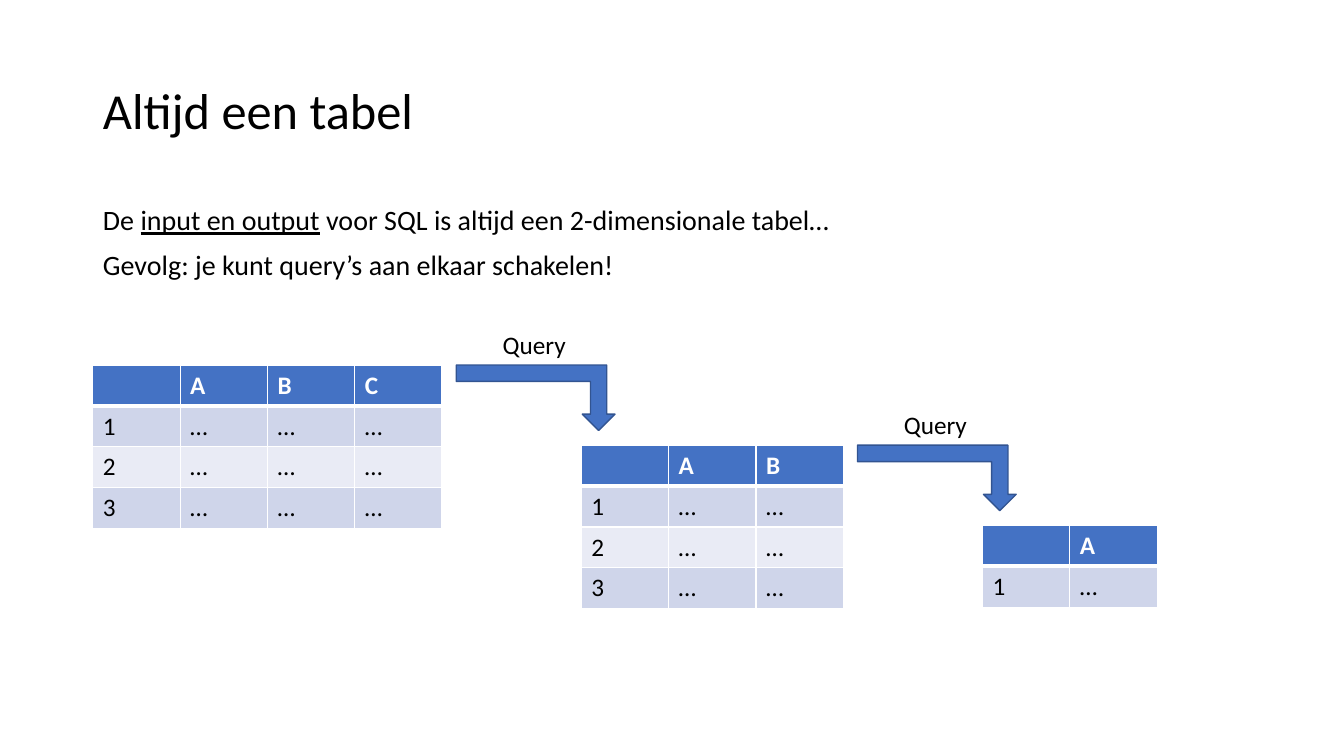
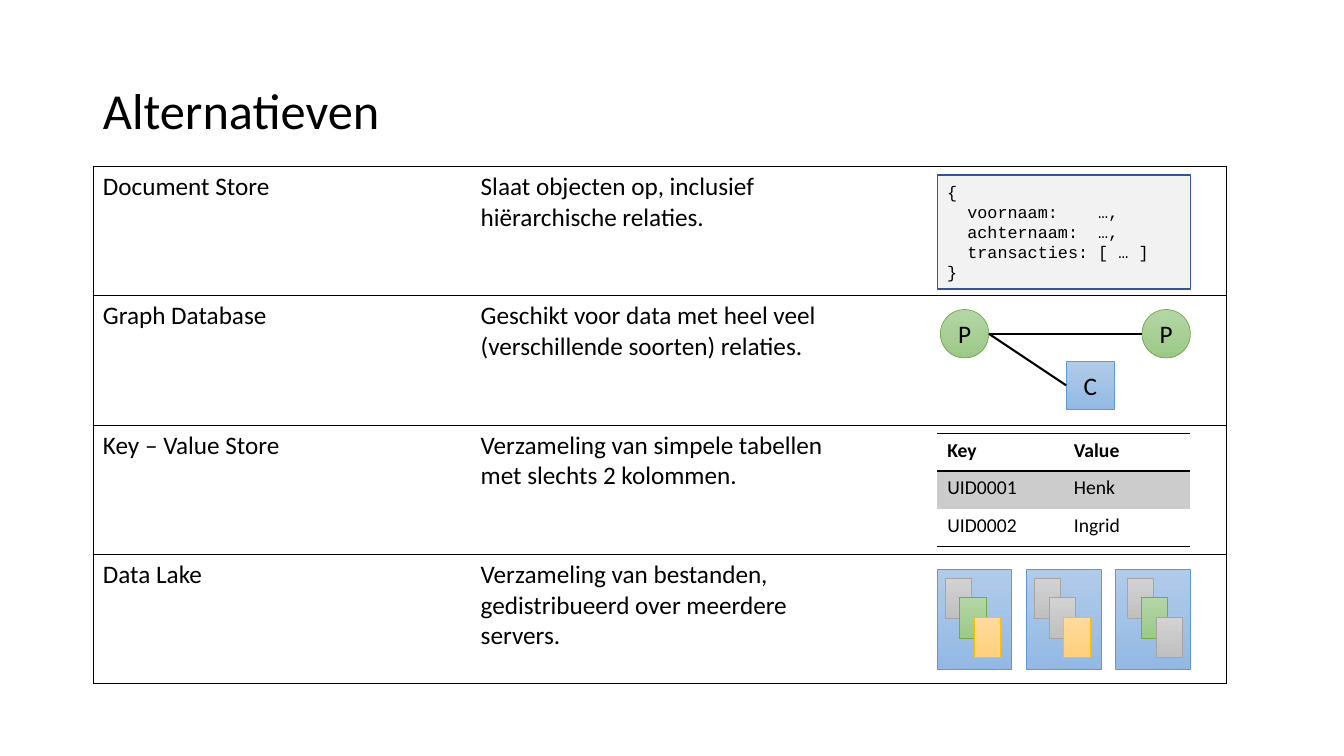
import lxml.etree
import pptx
import pptx.dml.color
import pptx.enum.shapes
import pptx.enum.text
import pptx.oxml.ns
import pptx.util

Cm = pptx.util.Cm
Pt = pptx.util.Pt
qn = pptx.oxml.ns.qn
rgb = pptx.dml.color.RGBColor.from_string
SHAPE = pptx.enum.shapes.MSO_SHAPE
ALIGN = pptx.enum.text.PP_ALIGN
MIDDLE = pptx.enum.text.MSO_ANCHOR.MIDDLE

BLACK, WHITE = "000000", "FFFFFF"
BLUE, DARK_BLUE = "4472C4", "325491"
BAND_DARK, BAND_LIGHT = "CFD5EA", "E9EBF5"
# Gradient top, gradient bottom, outline
GREEN = ("B5D5A7", "9CC987", "70AD47")
SKY = ("B1CBE9", "93B9E4", "5B9BD5")
GREY = ("D2D2D2", "C0C0C0", "A5A5A5")
YELLOW = ("FFDB9E", "FFD07C", "FFC000")
NO_STYLE = "{2D5ABB26-0587-4C30-8999-92F81FD0307C}"
LEFT = 2.34


def write(tf, text, size=18, color=BLACK, font="Calibri", bold=False,
          underline="", align=ALIGN.LEFT, spacing=None, gap=0):
    """Fill a text frame, one paragraph per line; gap is the space between them."""
    for i, line in enumerate(text.split("\n")):
        p = tf.add_paragraph() if i else tf.paragraphs[0]
        p.alignment = align
        p.line_spacing = spacing
        p.space_before = Pt(gap if i else 0)
        for part in line.partition(underline) if underline else (line,):
            if part:
                r = p.add_run()
                r.text = part
                r.font.name = font
                r.font.size = Pt(size)
                r.font.bold = bold
                r.font.underline = part == underline
                r.font.color.rgb = rgb(color)


def add_grid(slide, rows, x, y, col_w, row_h, h_lines, v_lines, line_color,
             fills, size=18, header_color=None):
    """Add a table; h_lines and v_lines hold a width per boundary, 0 for none."""
    n_rows, n_cols = len(rows), len(rows[0])
    frame = slide.shapes.add_table(n_rows, n_cols, Cm(x), Cm(y),
                                   Cm(col_w * n_cols), Cm(row_h * n_rows))
    table = frame.table
    table.first_row = header_color is not None
    table.horz_banding = False
    table._tbl.tblPr.find(qn("a:tableStyleId")).text = NO_STYLE
    for col in table.columns:
        col.width = Cm(col_w)
    for i, row in enumerate(rows):
        table.rows[i].height = Cm(row_h)
        for j, text in enumerate(row):
            cell = table.cell(i, j)
            is_header = i == 0 and header_color is not None
            write(cell.text_frame, text, size=size, bold=is_header,
                  color=header_color if is_header else BLACK)
            tcPr = cell._tc.get_or_add_tcPr()
            widths = {"L": v_lines[j], "R": v_lines[j + 1],
                      "T": h_lines[i], "B": h_lines[i + 1]}
            for side, width in widths.items():
                ln = lxml.etree.SubElement(tcPr, qn(f"a:ln{side}"), w=str(Pt(width)))
                if width:
                    fill = lxml.etree.SubElement(ln, qn("a:solidFill"))
                    lxml.etree.SubElement(fill, qn("a:srgbClr"), val=line_color)
                else:
                    lxml.etree.SubElement(ln, qn("a:noFill"))
            if fills[i]:
                cell.fill.solid()
                cell.fill.fore_color.rgb = rgb(fills[i])
            else:
                cell.fill.background()


prs = pptx.Presentation()
prs.slide_width, prs.slide_height = Cm(33.87), Cm(19.05)

slides = []
for title, layout in (("Altijd een tabel", 1), ("Alternatieven", 5)):
    slide = prs.slides.add_slide(prs.slide_layouts[layout])
    sp = slide.shapes.title
    sp.left, sp.top, sp.width, sp.height = Cm(LEFT), Cm(1.02), Cm(29.21), Cm(3.68)
    sp.text_frame.vertical_anchor = MIDDLE
    write(sp.text_frame, title, size=36, spacing=0.9)
    slides.append(slide)
tables_slide, stores_slide = slides

# Slide 1: tables chained by queries
body = tables_slide.placeholders[1]
body.left, body.top, body.width, body.height = Cm(LEFT), Cm(5.08), Cm(29.01), Cm(12.09)
write(body.text_frame,
      "De input en output voor SQL is altijd een 2-dimensionale tabel…\n"
      "Gevolg: je kunt query’s aan elkaar schakelen!",
      size=20, underline="input en output", spacing=0.9, gap=10)
for p in body.text_frame.paragraphs:
    pPr = p._p.get_or_add_pPr()
    pPr.set("marL", "0")
    pPr.set("indent", "0")
    lxml.etree.SubElement(pPr, qn("a:buNone"))

COL_W = 2.2
x, y = LEFT, 9.2
for letters, n_records in (("ABC", 3), ("AB", 3), ("A", 1)):
    if x > LEFT:
        sp = tables_slide.shapes.add_shape(SHAPE.BENT_UP_ARROW, Cm(x), Cm(y),
                                           Cm(4), Cm(1.65))
        sp._element.spPr.find(qn("a:xfrm")).set("flipV", "1")
        sp.shadow.inherit = False
        sp.fill.solid()
        sp.fill.fore_color.rgb = rgb(BLUE)
        sp.line.color.rgb = rgb(DARK_BLUE)
        sp.line.width = Pt(1)
        label = tables_slide.shapes.add_textbox(Cm(x + 0.92), Cm(y - 1.02),
                                                Cm(2.1), Cm(1.02))
        label.text_frame.word_wrap = False
        write(label.text_frame, "Query")
        x += 3.15
        y += 2.02
    rows = [["", *letters]]
    rows += [[str(n + 1)] + ["…"] * len(letters) for n in range(n_records)]
    n_cols = len(rows[0])
    add_grid(tables_slide, rows, x, y, COL_W, 1.03,
             h_lines=[1, 3] + [1] * n_records, v_lines=[1] * (n_cols + 1),
             line_color=WHITE, header_color=WHITE,
             fills=[BLUE] + [(BAND_DARK, BAND_LIGHT)[n % 2] for n in range(n_records)])
    x += COL_W * n_cols + 0.36

# Slide 2: overview of alternatives
stores = [
    ("Document Store", "Slaat objecten op, inclusief hiërarchische relaties.", ""),
    ("Graph Database",
     "Geschikt voor data met heel veel (verschillende soorten) relaties.", ""),
    ("Key – Value Store", "Verzameling van simpele tabellen met slechts 2 kolommen.", ""),
    ("Data Lake",
     "Verzameling van bestanden, gedistribueerd over meerdere servers.", ""),
]
add_grid(stores_slide, stores, LEFT, 4.19, 9.52, 3.26, h_lines=[0.5] * 5,
         v_lines=[0.5, 0, 0, 0.5], line_color=BLACK, fills=[None] * 4)

ART_X = 23.62
pairs = [("Key", "Value"), ("UID0001", "Henk"), ("UID0002", "Ingrid")]
add_grid(stores_slide, pairs, ART_X, 10.92, 3.19, 0.95, h_lines=[1, 1, 0, 1],
         v_lines=[0, 0, 0], line_color=BLACK, fills=[None, "CCCCCC", None],
         size=14, header_color=BLACK)

code = stores_slide.shapes.add_shape(SHAPE.RECTANGLE, Cm(ART_X), Cm(4.41),
                                     Cm(6.38), Cm(2.87))
code.shadow.inherit = False
code.fill.solid()
code.fill.fore_color.rgb = rgb("F2F2F2")
code.line.color.rgb = rgb(DARK_BLUE)
code.line.width = Pt(1)
code.text_frame.vertical_anchor = MIDDLE
write(code.text_frame,
      "{\n  voornaam:    …,\n  achternaam:  …,\n  transacties: [ … ]\n}",
      size=12, font="Courier New")

NODE = 1.22
NODE_Y = 7.8
boxes = [
    (SHAPE.OVAL, 23.7, NODE_Y, NODE, NODE, GREEN, "P"),
    (SHAPE.OVAL, 28.78, NODE_Y, NODE, NODE, GREEN, "P"),
    (SHAPE.RECTANGLE, 26.87, 9.1, NODE, NODE, SKY, "C"),
]
lakes = [(0.2, (GREY, GREEN, YELLOW)), (0.2, (GREY, GREY, YELLOW)),
         (0.28, (GREY, GREEN, GREY))]
for i, (inset, files) in enumerate(lakes):
    lake_x, lake_y = ART_X + 2.25 * i, 14.36
    boxes.append((SHAPE.RECTANGLE, lake_x, lake_y, 1.88, 2.5, SKY, ""))
    for j, palette in enumerate(files):
        boxes.append((SHAPE.RECTANGLE, lake_x + inset + 0.37 * j,
                      lake_y + 0.21 + 0.49 * j, 0.66, 1.02, palette, ""))

drawn = []
for kind, x, y, w, h, (top, bottom, outline), text in boxes:
    sp = stores_slide.shapes.add_shape(kind, Cm(x), Cm(y), Cm(w), Cm(h))
    sp.shadow.inherit = False
    sp.fill.gradient()
    sp.fill.gradient_angle = 270
    for stop, color in zip(sp.fill.gradient_stops, (top, bottom)):
        stop.color.rgb = rgb(color)
    sp.line.color.rgb = rgb(outline)
    sp.line.width = Pt(0.5)
    sp.text_frame.vertical_anchor = MIDDLE
    write(sp.text_frame, text, align=ALIGN.CENTER)
    drawn.append(sp)

person, other_person, company = drawn[:3]
start = (person.left + person.width, person.top + person.height // 2)
for target in (other_person, company):
    cxn = stores_slide.shapes.add_connector(
        pptx.enum.shapes.MSO_CONNECTOR.STRAIGHT, *start,
        target.left, target.top + target.height // 2)
    if target is company:
        cxn.end_connect(company, 1)
    cxn.line.color.rgb = rgb(BLACK)
    cxn.line.width = Pt(1.5)
    lxml.etree.SubElement(cxn._element.spPr, qn("a:effectLst"))

prs.save("out.pptx")
